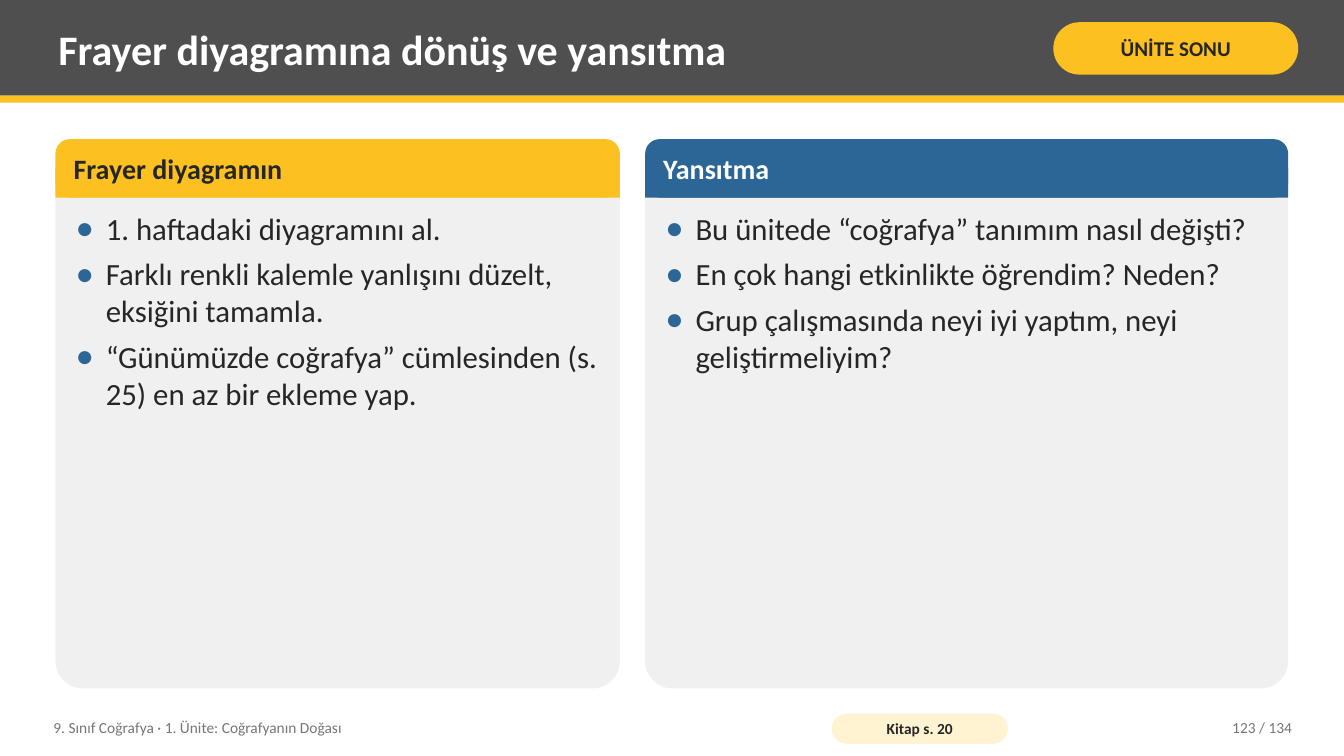
from lxml.etree import SubElement as Sub
from pptx import Presentation
from pptx.dml.color import RGBColor
from pptx.enum.shapes import MSO_SHAPE as Form
from pptx.enum.text import MSO_ANCHOR as Anchor, MSO_AUTO_SIZE as Fit, PP_ALIGN as Align
from pptx.oxml.ns import qn
from pptx.util import Pt

GREY = RGBColor(0x4F, 0x4F, 0x4F)
GOLD = RGBColor(0xFC, 0xC0, 0x21)
CREAM = RGBColor(0xFF, 0xF3, 0xD1)
BLUE = RGBColor(0x2C, 0x66, 0x96)
PALE = RGBColor(0xF0, 0xF0, 0xF0)
INK = RGBColor(0x26, 0x26, 0x26)
MUTED = RGBColor(0x76, 0x76, 0x76)
WHITE = RGBColor(0xFF, 0xFF, 0xFF)
FONT = "Calibri"

TITLE = "Frayer diyagramına dönüş ve yansıtma"
BADGE = "ÜNİTE SONU"
CARDS = [
    {"head": "Frayer diyagramın", "left": 39.6, "width": 403.2, "fill": GOLD, "ink": INK,
     "items": ["1. haftadaki diyagramını al.",
               "Farklı renkli kalemle yanlışını düzelt, eksiğini tamamla.",
               "“Günümüzde coğrafya” cümlesinden (s. 25) en az bir ekleme yap."]},
    {"head": "Yansıtma", "left": 460.8, "width": 459.36, "fill": BLUE, "ink": WHITE,
     "items": ["Bu ünitede “coğrafya” tanımım nasıl değişti?",
               "En çok hangi etkinlikte öğrendim? Neden?",
               "Grup çalışmasında neyi iyi yaptım, neyi geliştirmeliyim?"]},
]
FOOT = "9. Sınıf Coğrafya · 1. Ünite: Coğrafyanın Doğası"
BOOK = "Kitap s. 20"
PAGE = "123 / 134"

WIDE, HIGH = 960, 540
TOP, TALL, HEAD = 99.36, 392.4, 41.76

deck = Presentation()
deck.slide_width, deck.slide_height = Pt(WIDE), Pt(HIGH)
slide = deck.slides.add_slide(deck.slide_layouts[3])
shapes = slide.shapes
title, *bodies = slide.placeholders


def place(shape, box):
    shape.left, shape.top, shape.width, shape.height = map(Pt, box)
    tree = shape.element.getparent()
    tree.append(shape.element)


def style(para, size, color, bold=False, align=Align.LEFT):
    para.alignment = align
    font = para.font
    font.name, font.size, font.bold = FONT, Pt(size), bold
    font.color.rgb = color


def frame(shape, anchor=Anchor.MIDDLE, side=5.76, edge=2.88):
    area = shape.text_frame
    area.word_wrap = True
    area.auto_size = Fit.NONE
    area.vertical_anchor = anchor
    area.margin_left = area.margin_right = Pt(side)
    area.margin_top = area.margin_bottom = Pt(edge)
    return area


def write(shape, text, *look, **inset):
    area = frame(shape, **inset)
    area.text = text
    style(area.paragraphs[0], *look)


def block(box, fill, curve=None):
    kind = Form.RECTANGLE if curve is None else Form.ROUNDED_RECTANGLE
    shape = shapes.add_shape(kind, *map(Pt, box))
    if curve is not None:
        shape.adjustments[0] = curve
    shape.shadow.inherit = False
    shape.fill.solid()
    shape.fill.fore_color.rgb = fill
    shape.line.fill.background()
    return shape


def label(box, text, *look):
    write(shapes.add_textbox(*map(Pt, box)), text, *look)


def bullet(para):
    props = para._p.get_or_add_pPr()
    props.set("marL", str(Pt(21.6)))
    props.set("indent", str(-Pt(21.6)))
    tint = Sub(Sub(props, qn("a:buClr")), qn("a:srgbClr"))
    tint.set("val", str(BLUE))
    Sub(props, qn("a:buSzPct")).set("val", "120000")
    Sub(props, qn("a:buFont")).set("typeface", FONT)
    Sub(props, qn("a:buChar")).set("char", "•")


def listing(body, items):
    area = frame(body, Anchor.TOP)
    area.text = "\n".join(items)
    for para in area.paragraphs:
        bullet(para)
        para.space_before = Pt(0)
        para.space_after = Pt(6)
        style(para, 22, INK)


block((0, 0, WIDE, 68.4), GREY)
block((0, 68.4, WIDE, 5.04), GOLD)
place(title, (36, 5.04, 702, 59.04))
write(title, TITLE, 30, WHITE, True)
badge = block((752.4, 15.84, 174.96, 37.44), GOLD, 0.5)
write(badge, BADGE, 15, INK, True, Align.CENTER, side=3.6, edge=1.44)

for card, body in zip(CARDS, bodies):
    left, width, fill = card["left"], card["width"], card["fill"]
    block((left, TOP, width, TALL), PALE, 0.05)
    block((left, TOP, width, HEAD), fill, 0.25)
    block((left, TOP + HEAD / 2, width, HEAD / 2), fill)
    label((left + 7.2, TOP, width - 14.4, HEAD), card["head"], 20, card["ink"], True)
    place(body, (left + 8.64, TOP + HEAD + 5.76, width - 17.28, TALL - HEAD - 11.52))
    listing(body, card["items"])

label((32.4, 506.88, 547.2, 25.92), FOOT, 11, MUTED)
book = block((594, 509.76, 126, 21.6), CREAM, 0.5)
write(book, BOOK, 11, INK, True, Align.CENTER, side=2.88, edge=0)
label((813.6, 506.88, 115.2, 25.92), PAGE, 11, MUTED, False, Align.RIGHT)

deck.save("out.pptx")
